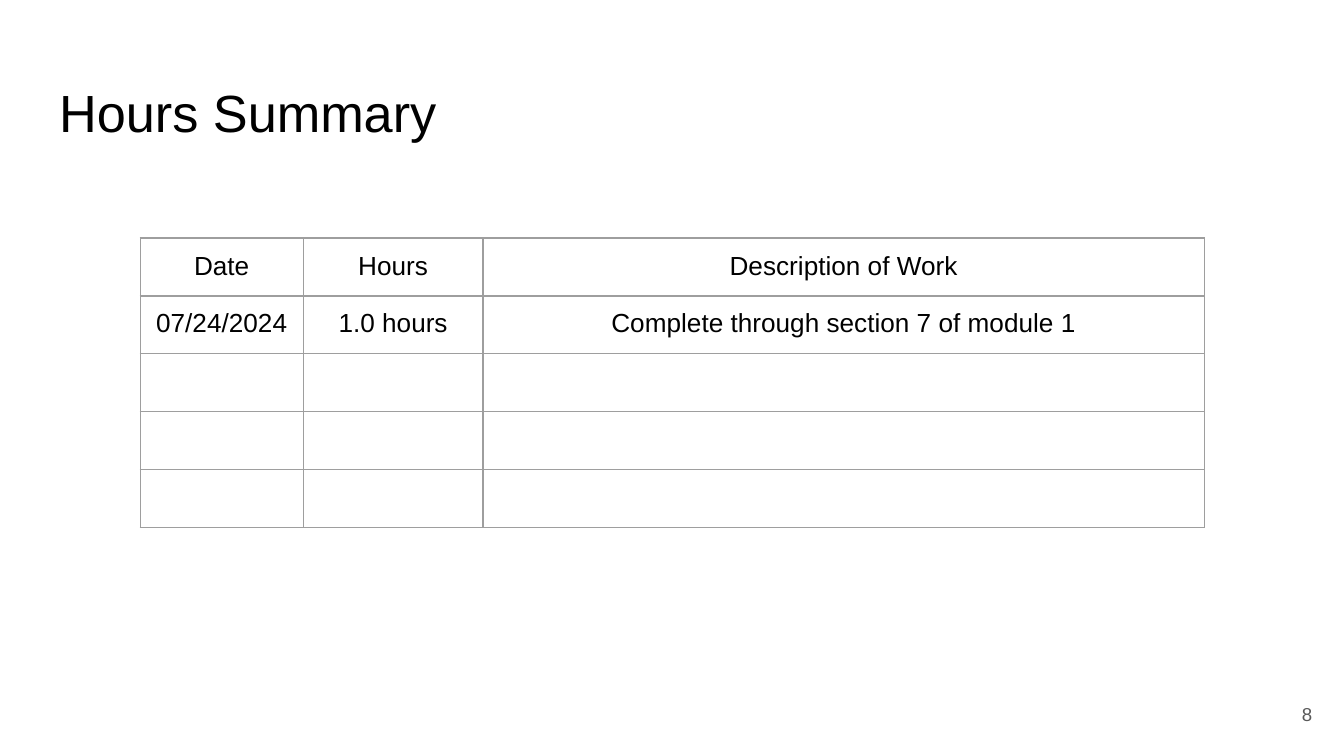
from dataclasses import dataclass

from lxml import etree
from pptx import Presentation
from pptx.dml.color import RGBColor
from pptx.enum.text import MSO_ANCHOR, PP_ALIGN
from pptx.oxml.ns import qn
from pptx.util import Cm, Pt

LEFT, CENTER, RIGHT = PP_ALIGN.LEFT, PP_ALIGN.CENTER, PP_ALIGN.RIGHT
TOP, MIDDLE = MSO_ANCHOR.TOP, MSO_ANCHOR.MIDDLE


@dataclass(frozen=True)
class Theme:
    font: str = "Arial"
    ink: str = "000000"
    muted: str = "595959"
    border: str = "9E9E9E"
    background: str = "FFFFFF"
    title_size: float = 28
    table_size: float = 14
    number_size: float = 10
    border_width: float = 0.75
    inset: float = 0.25


THEME = Theme()
COLUMN_WIDTHS = (3.08, 3.4, 13.63)
ROW_COUNT = 5
HOURS_LOG = (
    ("Date", "Hours", "Description of Work"),
    ("07/24/2024", "1.0 hours", "Complete through section 7 of module 1"),
)


def style_para(para, size, color, align):
    para.alignment = align
    for span in para.runs:
        span.font.name = THEME.font
        span.font.size = Pt(size)
        span.font.color.rgb = RGBColor.from_string(color)


def add_label(page, box, text, size, color, align, anchor):
    frame = page.shapes.add_textbox(*map(Cm, box)).text_frame
    frame.word_wrap = True
    frame.vertical_anchor = anchor
    frame.margin_left = frame.margin_right = Cm(THEME.inset)
    frame.margin_top = frame.margin_bottom = Cm(THEME.inset)
    frame.text = text
    style_para(frame.paragraphs[0], size, color, align)


def add_borders(cell):
    properties = cell._tc.get_or_add_tcPr()
    for side in ("a:lnL", "a:lnR", "a:lnT", "a:lnB"):
        line = etree.SubElement(properties, qn(side), w=str(Pt(THEME.border_width)))
        fill = etree.SubElement(line, qn("a:solidFill"))
        etree.SubElement(fill, qn("a:srgbClr"), val=THEME.border)


def style_cell(cell, text):
    cell.margin_left = cell.margin_right = Cm(THEME.inset)
    cell.margin_top = cell.margin_bottom = Cm(THEME.inset)
    add_borders(cell)
    cell.fill.background()
    para = cell.text_frame.paragraphs[0]
    if text:
        para.text = text
        style_para(para, THEME.table_size, THEME.ink, CENTER)
    else:
        etree.SubElement(para._p, qn("a:endParaRPr"), sz=str(int(THEME.table_size * 100)))


def add_hours_table(page, box):
    frame = page.shapes.add_table(ROW_COUNT, len(COLUMN_WIDTHS), *map(Cm, box))
    table = frame.table
    table.first_row = table.horz_banding = False
    for column, width in zip(table.columns, COLUMN_WIDTHS):
        column.width = Cm(width)
    for row in table.rows:
        row.height = Cm(box[3] / ROW_COUNT)
    blank_rows = (("",) * len(COLUMN_WIDTHS),) * (ROW_COUNT - len(HOURS_LOG))
    for row, texts in zip(table.rows, HOURS_LOG + blank_rows):
        for cell, text in zip(row.cells, texts):
            style_cell(cell, text)


def add_hours_slide(deck):
    page = deck.slides.add_slide(deck.slide_layouts[6])
    page.background.fill.solid()
    page.background.fill.fore_color.rgb = RGBColor.from_string(THEME.background)
    add_label(page, (0.87, 1.26, 23.67, 1.59), "Hours Summary",
              THEME.title_size, THEME.ink, LEFT, TOP)
    add_hours_table(page, (2.65, 4.5, sum(COLUMN_WIDTHS), 5.3))
    add_label(page, (23.53, 12.95, 1.52, 1.09), "8",
              THEME.number_size, THEME.muted, RIGHT, MIDDLE)


def main():
    deck = Presentation()
    deck.slide_width, deck.slide_height = Cm(25.4), Cm(14.29)
    add_hours_slide(deck)
    deck.save("out.pptx")


if __name__ == "__main__":
    main()
